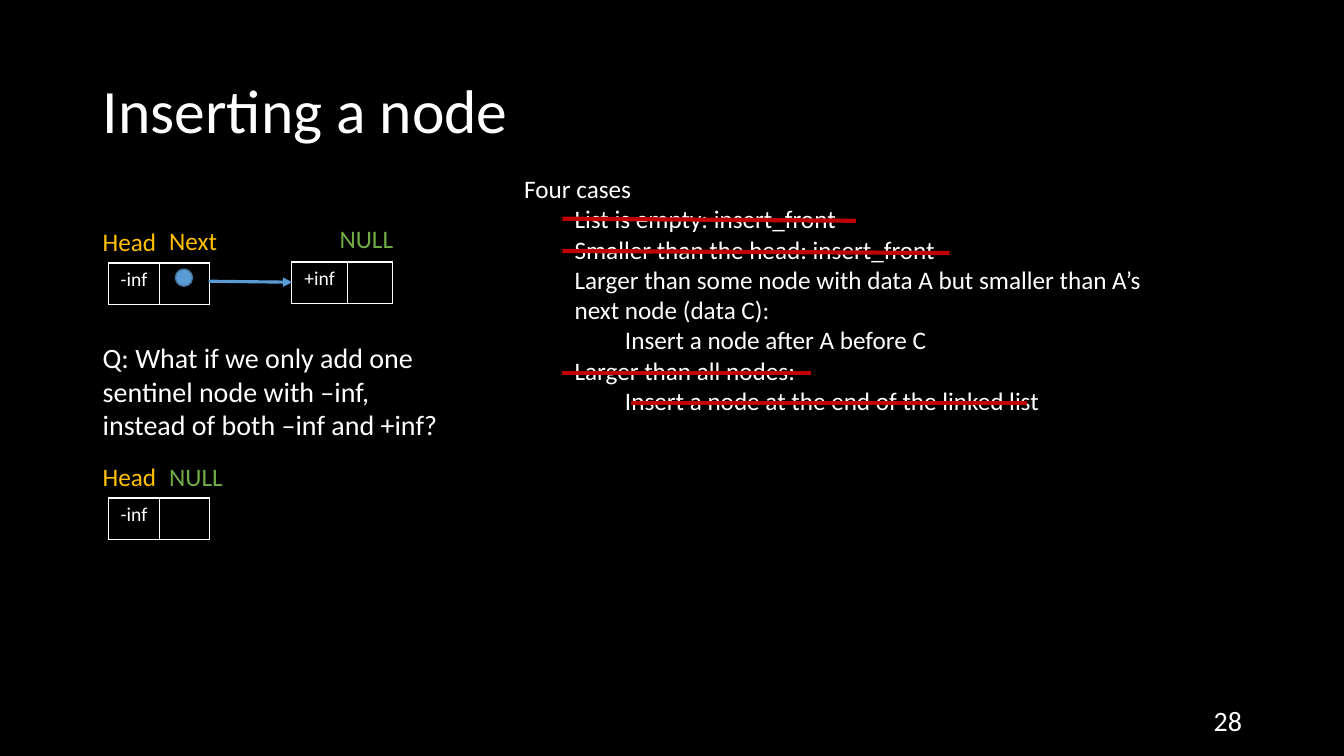
from dataclasses import dataclass

from lxml.etree import SubElement
from pptx import Presentation
from pptx.dml.color import RGBColor
from pptx.enum.shapes import MSO_CONNECTOR as Connector, MSO_SHAPE as Preset
from pptx.enum.text import MSO_ANCHOR as Anchor, MSO_AUTO_SIZE as AutoSize, PP_ALIGN as Align
from pptx.oxml import parse_xml
from pptx.oxml.ns import nsdecls, qn
from pptx.util import Emu, Inches, Pt

CELL = Inches(0.1)
COLUMNS, ROWS = 133.33, 75


@dataclass(frozen=True)
class Theme:
    font: str = "Calibri"
    background: str = "000000"
    text: str = "FFFFFF"
    pointer: str = "FFC000"
    null: str = "70AD47"
    link: str = "5B9BD5"
    link_edge: str = "43739E"
    strike: str = "C00000"
    title_size: int = 44
    large_size: int = 20
    body_size: int = 18
    node_size: int = 14


THEME = Theme()


@dataclass(frozen=True)
class Box:
    column: float
    row: float
    width: float
    height: float

    def lengths(self) -> tuple:
        return tuple(grid(n) for n in (self.column, self.row, self.width, self.height))


@dataclass(frozen=True)
class Label:
    text: str
    box: Box
    color: str = THEME.text
    size: int = THEME.body_size
    align: Align = Align.LEFT
    anchor: Anchor = Anchor.TOP


@dataclass(frozen=True)
class Node:
    value: str
    column: float
    row: float
    widths: tuple = (5, 5)
    height: float = 4.1


@dataclass(frozen=True)
class Line:
    start: tuple
    end: tuple
    color: str = THEME.strike
    width: float = 3
    arrow: bool = False


@dataclass(frozen=True)
class Case:
    text: str
    level: int = 1


TITLE_BOX = Box(9.2, 4, 115, 14.5)
CASES_BOX = Box(51, 16.7, 66.7, 25.2)
POINTER_DOT = Box(17.4, 26.7, 1.7, 1.7)

CASES = (
    Case("Four cases", 0),
    Case("List is empty: insert_front"),
    Case("Smaller than the head: insert_front"),
    Case("Larger than some node with data A but smaller than A’s next node (data C):"),
    Case("Insert a node after A before C", 2),
    Case("Larger than all nodes:"),
    Case("Insert a node at the end of the linked list", 2),
)

NODES = (
    Node("-inf", 10.8, 26.1),
    Node("+inf", 28.9, 26, (5.6, 4.4)),
    Node("-inf", 10.8, 49.4),
)

LABELS = (
    Label("Head", Box(9.2, 22, 8.7, 4), THEME.pointer),
    Label("Next", Box(15.8, 21.9, 8.2, 4), THEME.pointer),
    Label("NULL", Box(32.7, 21.7, 8.2, 4), THEME.null),
    Label("Head", Box(9.2, 45.3, 8.7, 4), THEME.pointer),
    Label("NULL", Box(15.8, 45.3, 8.2, 4), THEME.null),
    Label("Q: What if we only add one sentinel node with –inf, instead of both –inf and +inf?",
          Box(9.2, 33.3, 35.4, 11.1), size=THEME.large_size),
    Label("28", Box(94.2, 69.5, 30, 4), size=THEME.large_size,
          align=Align.RIGHT, anchor=Anchor.MIDDLE),
)

LINES = (
    Line((20.7, 27.9), (29, 28), THEME.link, 2.25, True),
    Line((55.8, 21.7), (84.9, 21.9)),
    Line((55.8, 24.9), (94.2, 25.1)),
    Line((55.8, 37), (80.5, 37)),
    Line((62.6, 40), (101.9, 40)),
)


def grid(count: float) -> Emu:
    return Emu(round(count * CELL))


def rgb(color: str) -> RGBColor:
    return RGBColor.from_string(color)


def style(paragraph, size: int, color: str = THEME.text, align: Align = Align.LEFT) -> None:
    paragraph.alignment = align
    paragraph.font.name = THEME.font
    paragraph.font.size = Pt(size)
    paragraph.font.color.rgb = rgb(color)


def place(shape, box: Box) -> None:
    shape.left, shape.top, shape.width, shape.height = box.lengths()


def fill_title(shape) -> None:
    place(shape, TITLE_BOX)
    frame = shape.text_frame
    frame.text = "Inserting a node"
    frame.vertical_anchor = Anchor.MIDDLE
    frame.auto_size = AutoSize.NONE
    frame.paragraphs[0].line_spacing = 0.9
    style(frame.paragraphs[0], THEME.title_size)


def fill_cases(shape) -> None:
    place(shape, CASES_BOX)
    frame = shape.text_frame
    frame.text = "\n".join(case.text for case in CASES)
    frame.auto_size = AutoSize.NONE
    for paragraph, case in zip(frame.paragraphs, CASES):
        paragraph.level = case.level
        properties = paragraph._p.get_or_add_pPr()
        properties.set("marL", str(grid(5 * case.level)))
        properties.set("indent", "0")
        SubElement(properties, qn("a:buNone"))
        paragraph.space_before = Pt(0)
        style(paragraph, THEME.body_size)


def add_label(slide, label: Label) -> None:
    frame = slide.shapes.add_textbox(*label.box.lengths()).text_frame
    frame.word_wrap = True
    frame.vertical_anchor = label.anchor
    frame.text = label.text
    style(frame.paragraphs[0], label.size, label.color, label.align)


def add_node(slide, node: Node) -> None:
    box = Box(node.column, node.row, sum(node.widths), node.height)
    table = slide.shapes.add_table(1, len(node.widths), *box.lengths()).table
    table.first_row = table.horz_banding = False
    for column, width in zip(table.columns, node.widths):
        column.width = grid(width)
    for cell in table.iter_cells():
        cell.fill.background()
        for index, side in enumerate("LRTB"):
            border = parse_xml(
                f'<a:ln{side} {nsdecls("a")} w="{Pt(1)}"><a:solidFill>'
                f'<a:srgbClr val="{THEME.text}"/></a:solidFill></a:ln{side}>')
            cell._tc.get_or_add_tcPr().insert(index, border)
    value_cell = table.cell(0, 0)
    value_cell.text = node.value
    style(value_cell.text_frame.paragraphs[0], THEME.node_size, align=Align.CENTER)


def add_line(slide, line: Line) -> None:
    ends = (grid(n) for n in line.start + line.end)
    connector = slide.shapes.add_connector(Connector.STRAIGHT, *ends)
    connector.line.color.rgb = rgb(line.color)
    connector.line.width = Pt(line.width)
    if line.arrow:
        SubElement(connector.line._get_or_add_ln(), qn("a:tailEnd"), type="triangle")
    SubElement(connector._element.spPr, qn("a:effectLst"))


def add_pointer_dot(slide) -> None:
    dot = slide.shapes.add_shape(Preset.OVAL, *POINTER_DOT.lengths())
    dot.shadow.inherit = False
    dot.fill.solid()
    dot.fill.fore_color.rgb = rgb(THEME.link)
    dot.line.color.rgb = rgb(THEME.link_edge)
    dot.line.width = Pt(1)


def main() -> None:
    """Build the linked-list insertion slide."""
    presentation = Presentation()
    presentation.slide_width, presentation.slide_height = grid(COLUMNS), grid(ROWS)
    slide = presentation.slides.add_slide(presentation.slide_layouts[1])
    slide.background.fill.solid()
    slide.background.fill.fore_color.rgb = rgb(THEME.background)
    fill_title(slide.shapes.title)
    fill_cases(slide.placeholders[1])
    for add, items in ((add_node, NODES), (add_label, LABELS), (add_line, LINES)):
        for item in items:
            add(slide, item)
    add_pointer_dot(slide)
    presentation.save("out.pptx")


if __name__ == "__main__":
    main()
